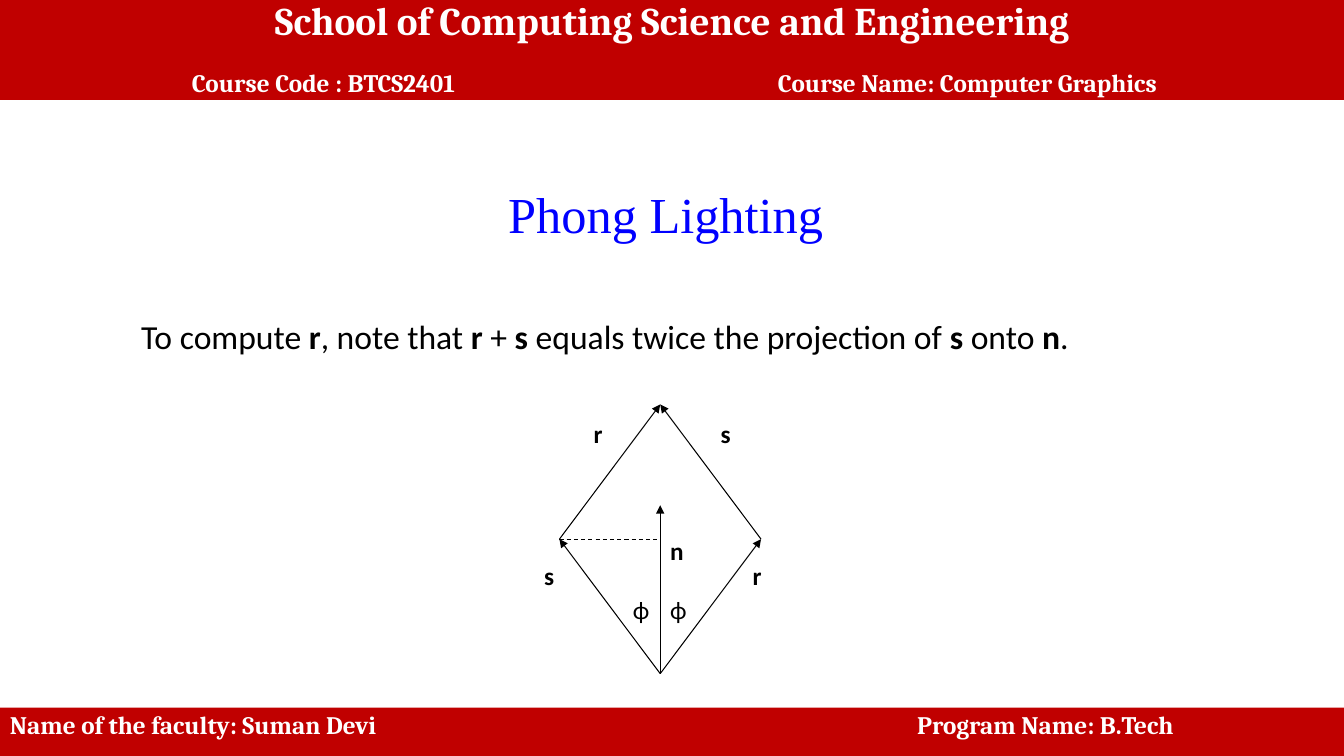
from lxml import etree
from pptx import Presentation
from pptx.dml.color import RGBColor
from pptx.enum.dml import MSO_LINE
from pptx.enum.shapes import MSO_CONNECTOR, MSO_SHAPE
from pptx.enum.text import MSO_ANCHOR, MSO_AUTO_SIZE, PP_ALIGN
from pptx.oxml.ns import qn
from pptx.util import Pt

STRAIGHT = MSO_CONNECTOR.STRAIGHT
RECTANGLE = MSO_SHAPE.RECTANGLE
DASH = MSO_LINE.DASH
TOP, MIDDLE = MSO_ANCHOR.TOP, MSO_ANCHOR.MIDDLE
LEFT, CENTER = PP_ALIGN.LEFT, PP_ALIGN.CENTER
NO_FIT = MSO_AUTO_SIZE.NONE

RED = RGBColor(0xC0, 0x00, 0x00)
BLUE = RGBColor(0x00, 0x00, 0xFF)
BLACK = RGBColor(0x00, 0x00, 0x00)
WHITE = RGBColor(0xFF, 0xFF, 0xFF)

PAGE_WIDTH, PAGE_HEIGHT = 960, 540
TITLE_LAYOUT = 1

# Corners of the parallelogram spanned by s and r, in points
AXIS, HALF_WIDTH = 471.6, 72
SUM_TIP, SIDE_Y, ORIGIN_Y, NORMAL_TIP = 288.9, 385.1, 481.2, 360.9

LABELS = [
    ("s", 381.6, 396.7, True),
    ("n", 471.6, 378.7, True),
    ("r", 530.6, 396.7, True),
    ("r", 416.9, 295.2, True),
    ("s", 507.6, 295.2, True),
    ("ϕ", 471.6, 421.2, False),
    ("ϕ", 445, 421.2, False),
]

STATEMENT = [
    ("To compute ", False), ("r", True), (", note that ", False), ("r", True),
    (" + ", False), ("s", True), (" equals twice the projection of ", False),
    ("s", True), (" onto ", False), ("n", True), (".", False),
]


def add_run(para, text, size, font, color, bold=False):
    run = para.add_run()
    run.text = text
    run.font.size = Pt(size)
    run.font.name = font
    run.font.color.rgb = color
    run.font.bold = bold


def set_tabs(para, *stops):
    tab_list = etree.SubElement(para._p.get_or_add_pPr(), qn("a:tabLst"))
    for stop in stops:
        etree.SubElement(tab_list, qn("a:tab"), pos=str(Pt(stop)), algn="l")


def place_placeholder(box, left, top, width, height):
    """Move a placeholder and return its plain first paragraph."""
    box.left, box.top, box.width, box.height = map(Pt, (left, top, width, height))
    frame = box.text_frame
    frame.auto_size = NO_FIT
    frame.vertical_anchor = TOP
    para = frame.paragraphs[0]
    properties = para._p.get_or_add_pPr()
    properties.set("marL", "0")
    properties.set("indent", "0")
    etree.SubElement(properties, qn("a:buNone"))
    para.space_before = Pt(0)
    return para


def add_band(page, top, height, anchor, side_inset, top_inset):
    band = page.shapes.add_shape(RECTANGLE, 0, Pt(top), Pt(PAGE_WIDTH), Pt(height))
    band.shadow.inherit = False
    band.fill.solid()
    band.fill.fore_color.rgb = RED
    band.line.fill.background()
    frame = band.text_frame
    frame.word_wrap = True
    frame.vertical_anchor = anchor
    frame.margin_left = frame.margin_right = Pt(side_inset)
    frame.margin_top = frame.margin_bottom = Pt(top_inset)
    return frame


def add_band_line(para, text, size, align=LEFT, tabs=()):
    if tabs:
        set_tabs(para, *tabs)
    para.alignment = align
    para.line_spacing = 0.9
    add_run(para, text, size, "Cambria", WHITE, True)


def add_segment(diagram, start, end, dashed=False):
    """Draw a vector with an arrowhead at its end, or a dashed plain line."""
    segment = diagram.shapes.add_connector(STRAIGHT, *map(Pt, start + end))
    segment.line.color.rgb = BLACK
    segment.line.width = Pt(0.75)
    if dashed:
        segment.line.dash_style = DASH
    else:
        etree.SubElement(segment.line._get_or_add_ln(), qn("a:tailEnd"), type="triangle")
    etree.SubElement(segment._element.spPr, qn("a:effectLst"))


def add_label(diagram, text, left, top, bold):
    box = diagram.shapes.add_textbox(Pt(left), Pt(top), Pt(29), Pt(36))
    box.text_frame.word_wrap = True
    add_run(box.text_frame.paragraphs[0], text, 18, "Calibri", BLACK, bold)


def add_diagram(page):
    diagram = page.shapes.add_group_shape()
    origin, tip = (AXIS, ORIGIN_Y), (AXIS, SUM_TIP)
    for side in (AXIS - HALF_WIDTH, AXIS + HALF_WIDTH):
        corner = (side, SIDE_Y)
        add_segment(diagram, origin, corner)
        add_segment(diagram, corner, tip)
    add_segment(diagram, origin, (AXIS, NORMAL_TIP))
    add_segment(diagram, (AXIS - HALF_WIDTH, SIDE_Y), (AXIS, SIDE_Y), dashed=True)
    for label in LABELS:
        add_label(diagram, *label)


def main():
    deck = Presentation()
    deck.slide_width, deck.slide_height = Pt(PAGE_WIDTH), Pt(PAGE_HEIGHT)
    page = deck.slides.add_slide(deck.slide_layouts[TITLE_LAYOUT])

    title = place_placeholder(page.shapes.title, 62.5, 127.4, 826, 51)
    title.alignment = CENTER
    add_run(title, "Phong Lighting", 36, "Times New Roman", BLUE)

    statement = place_placeholder(page.placeholders[1], 93.6, 221.8, 826, 36)
    for text, bold in STATEMENT:
        add_run(statement, text, 24, "Calibri", BLACK, bold)

    footer = add_band(page, 505.4, 34.6, TOP, 7.2, 3.6)
    add_band_line(footer.paragraphs[0],
                  "Name of the faculty: Suman Devi\tProgram Name: B.Tech", 18, tabs=(648,))

    header = add_band(page, 0, 71.3, MIDDLE, 0, 0)
    add_band_line(header.paragraphs[0],
                  "School of Computing Science and Engineering", 28, CENTER)
    course = header.add_paragraph()
    add_band_line(course, "\tCourse Code : BTCS2401\tCourse Name: Computer Graphics",
                  18, tabs=(137, 555.7))
    course.space_before = Pt(19)

    add_diagram(page)
    deck.save("out.pptx")


if __name__ == "__main__":
    main()
